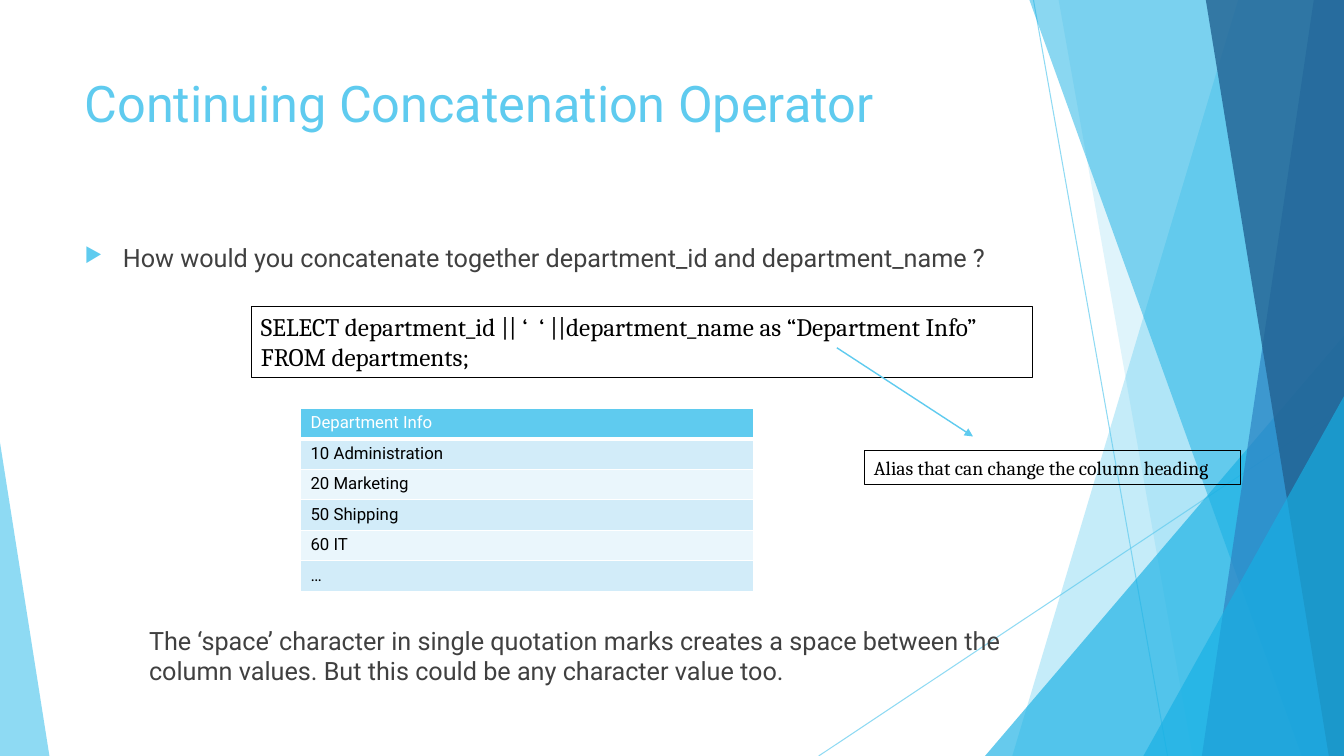
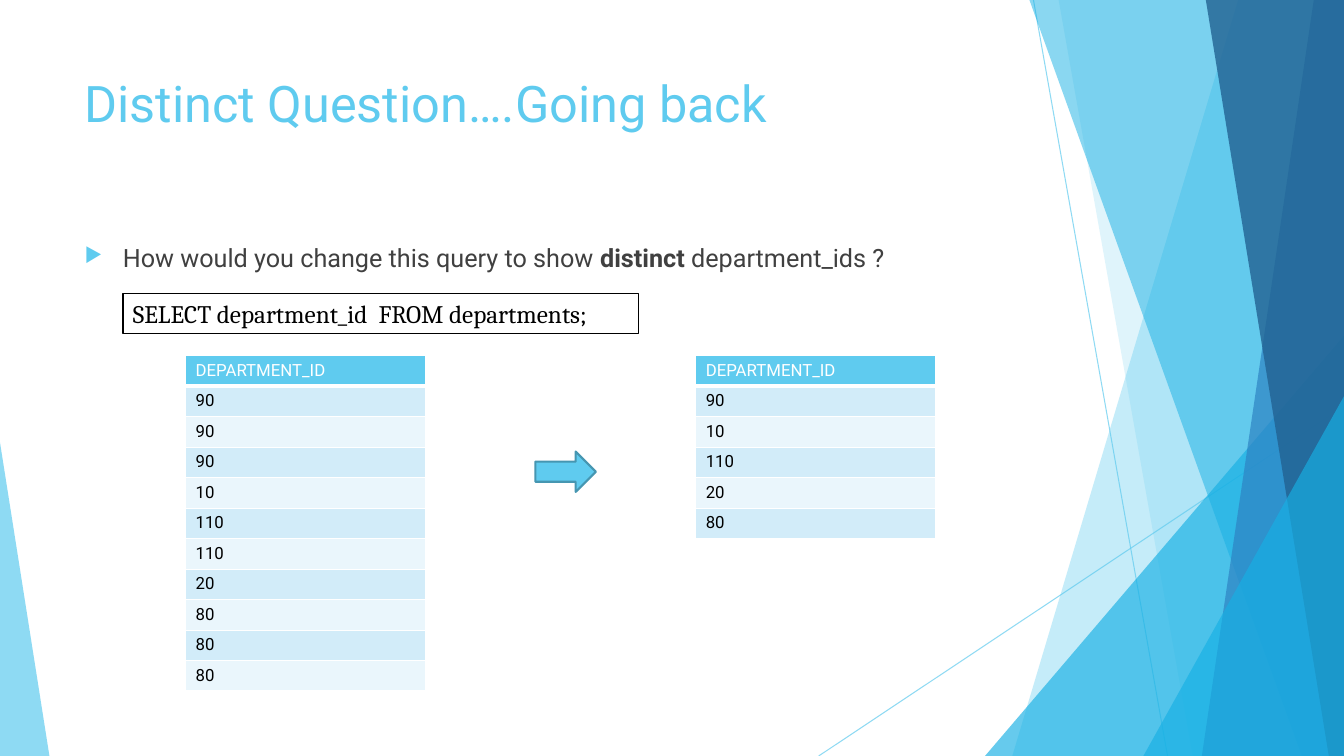
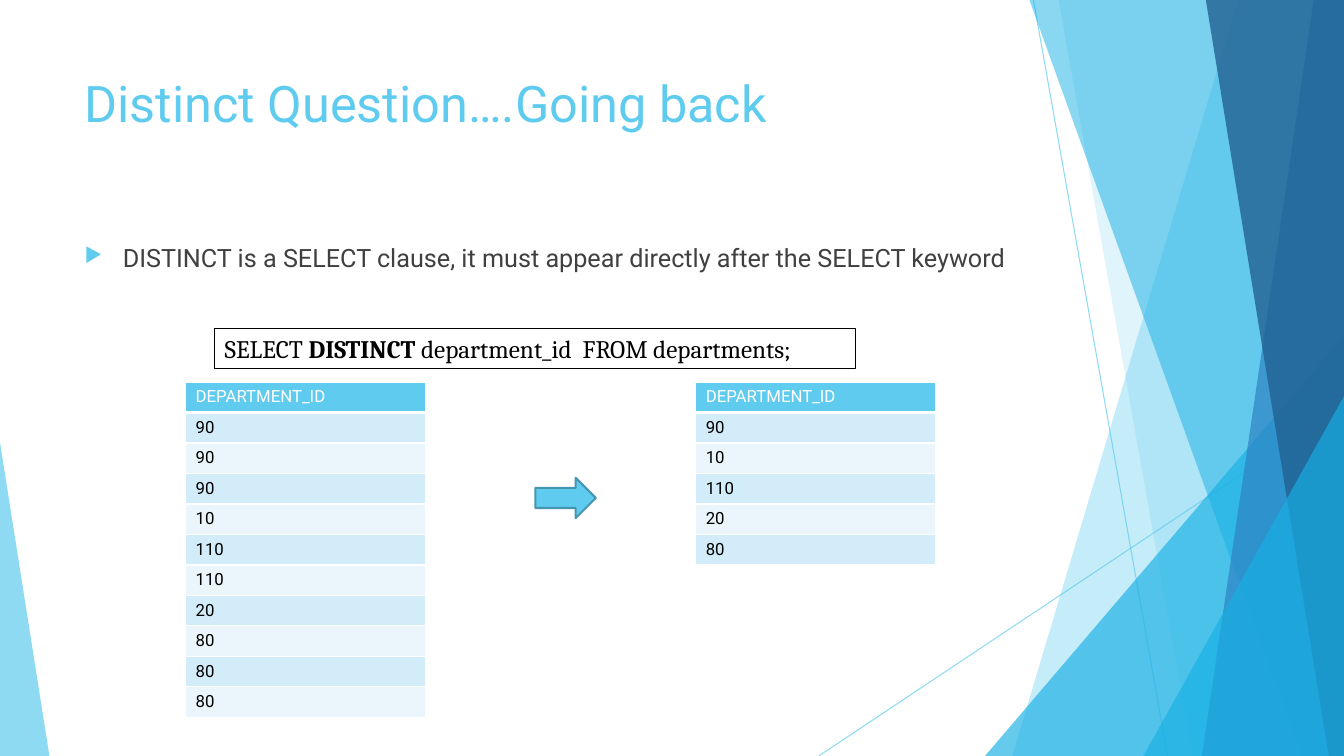
from dataclasses import dataclass

from lxml import etree
from pptx import Presentation
from pptx.dml.color import RGBColor
from pptx.enum.shapes import MSO_CONNECTOR, MSO_SHAPE
from pptx.oxml.ns import qn
from pptx.util import Inches, Pt

STRAIGHT = MSO_CONNECTOR.STRAIGHT
TRIANGLE = MSO_SHAPE.ISOSCELES_TRIANGLE
RIGHT_ARROW = MSO_SHAPE.RIGHT_ARROW

SLIDE_W, SLIDE_H = 13.33, 7.5
TEXT_LEFT, TEXT_W = 0.74, 9.4
ROW_H = Inches(3.33) // 11


@dataclass(frozen=True)
class Theme:
    sky: str = "5FCBEF"
    cyan: str = "17B0E4"
    blue: str = "2E83C3"
    navy: str = "226292"
    arrow_edge: str = "4696B1"
    band_dark: str = "D2ECF9"
    band_light: str = "EAF6FC"
    body: str = "404040"
    black: str = "000000"
    white: str = "FFFFFF"
    sans: str = "Roboto"
    serif: str = "Cambria"
    title_size: int = 36
    body_size: int = 18
    note_size: int = 14
    table_size: int = 12


T = Theme()


def rgb(color):
    return RGBColor.from_string(color)


def add_element(parent, tag, **attrs):
    child = etree.SubElement(parent, qn(tag))
    for name, value in attrs.items():
        child.set(name, str(value))
    return child


def set_alpha(owner, percent):
    """Make the solid colour inside an XML element partly transparent."""
    color = next(owner.iter(qn("a:srgbClr")))
    add_element(color, "a:alpha", val=percent * 1000)


def paint_glass(shape, color, opacity):
    shape.shadow.inherit = False
    shape.fill.solid()
    shape.fill.fore_color.rgb = rgb(color)
    shape.line.fill.background()
    set_alpha(shape.fill._xPr.find(qn("a:solidFill")), opacity)


def add_line(s, start, end, width):
    line = s.shapes.add_connector(STRAIGHT, *map(Inches, start + end))
    line.line.color.rgb = rgb(T.sky)
    line.line.width = Pt(width)
    add_element(line._element.spPr, "a:effectLst")
    return line


def add_facet(s, top_x, bottom_x, color, opacity):
    """Fill from a slanted left edge to the right side of the slide."""
    corners = [(SLIDE_W, 0), (SLIDE_W, SLIDE_H), (bottom_x, SLIDE_H)]
    builder = s.shapes.build_freeform(Inches(top_x), 0, scale=1.0)
    builder.add_line_segments([(Inches(x), Inches(y)) for x, y in corners])
    paint_glass(builder.convert_to_shape(), color, opacity)


def add_corner(s, left, top, width, apex, color, opacity):
    """Add a triangle that stands on the bottom edge of the slide."""
    box = map(Inches, (left, top, width, SLIDE_H - top))
    shape = s.shapes.add_shape(TRIANGLE, *box)
    shape.adjustments[0] = apex
    paint_glass(shape, color, opacity)


def add_backdrop(s):
    for start, end in (((10.25, 0), (11.58, SLIDE_H)),
                       ((SLIDE_W, 4.03), (8.12, SLIDE_H))):
        line = add_line(s, start, end, 0.75)
        set_alpha(line._element.spPr, 70)
    add_facet(s, 12.28, 10.04, T.sky, 36)
    add_facet(s, 10.5, 11.83, T.sky, 20)
    add_corner(s, 9.77, 3.33, 3.56, 1, T.cyan, 66)
    add_facet(s, 10.21, 12.91, T.cyan, 50)
    add_facet(s, 13.03, 11.92, T.blue, 70)
    add_facet(s, 11.96, 13.18, T.navy, 80)
    add_corner(s, 11.34, 3.93, 1.99, 1, T.cyan, 66)
    add_corner(s, 0, 4.39, 0.49, 0, T.sky, 70)


def style_font(font, name, size, color, bold=False):
    font.name = name
    font.size = Pt(size)
    font.bold = bold
    font.color.rgb = rgb(color)


def add_text(s, box, text, name, size, color):
    """Add a text box; newlines split paragraphs and ** encloses bold words."""
    shape = s.shapes.add_textbox(*map(Inches, box))
    tf = shape.text_frame
    tf.word_wrap = True
    for i, row in enumerate(text.split("\n")):
        p = tf.add_paragraph() if i else tf.paragraphs[0]
        for j, part in enumerate(row.split("**")):
            r = p.add_run()
            r.text = part
            style_font(r.font, name, size, color, bold=j % 2 == 1)
    return shape


def add_body(s, box, text):
    return add_text(s, box, text, T.sans, T.body_size, T.body)


def add_bullet(s, text):
    shape = add_body(s, (TEXT_LEFT, 2.36, TEXT_W, 0.93), text)
    pPr = shape.text_frame.paragraphs[0]._p.get_or_add_pPr()
    indent = Inches(0.38)
    pPr.set("marL", str(indent))
    pPr.set("indent", str(-indent))
    add_element(add_element(pPr, "a:buClr"), "a:srgbClr", val=T.sky)
    add_element(pPr, "a:buSzPct", val=80000)
    add_element(pPr, "a:buChar", char="▶")


def add_code_box(s, box, text, size=T.body_size):
    shape = add_text(s, box, text, T.serif, size, T.black)
    shape.line.color.rgb = rgb(T.black)
    shape.line.width = Pt(0.75)


def set_cell_borders(cell, bottom):
    tcPr = cell._tc.get_or_add_tcPr()
    widths = {"a:lnL": 1, "a:lnR": 1, "a:lnT": 1, "a:lnB": bottom}
    for i, (tag, width) in enumerate(widths.items()):
        ln = etree.Element(qn(tag), w=str(Pt(width)))
        add_element(add_element(ln, "a:solidFill"), "a:srgbClr", val=T.white)
        tcPr.insert(i, ln)


def add_column_table(s, left, top, width, values):
    """Add a one-column table whose first value is the heading."""
    frame = s.shapes.add_table(len(values), 1, Inches(left), Inches(top),
                               Inches(width), ROW_H * len(values))
    for i, value in enumerate(values):
        cell = frame.table.cell(i, 0)
        header = i == 0
        band = T.band_dark if i % 2 else T.band_light
        cell.fill.solid()
        cell.fill.fore_color.rgb = rgb(T.sky if header else band)
        set_cell_borders(cell, bottom=3 if header else 1)
        cell.text_frame.text = value
        style_font(cell.text_frame.paragraphs[0].runs[0].font, T.sans,
                   T.table_size, T.white if header else T.black)


def add_distinct_tables(s, top):
    """Show all department ids, an arrow, and the ids without repeats."""
    ids = ["90", "90", "90", "10", "110", "110", "20", "80", "80", "80"]
    unique_ids = list(dict.fromkeys(ids))
    for left, values in ((1.84, ids), (6.9, unique_ids)):
        add_column_table(s, left, top, 2.38, ["DEPARTMENT_ID"] + values)
    box = map(Inches, (5.31, top + 0.95, 0.6, 0.4))
    arrow = s.shapes.add_shape(RIGHT_ARROW, *box)
    arrow.shadow.inherit = False
    arrow.fill.solid()
    arrow.fill.fore_color.rgb = rgb(T.sky)
    arrow.line.color.rgb = rgb(T.arrow_edge)
    arrow.line.width = Pt(1.5)


def add_slide(prs, title, bullet):
    s = prs.slides.add_slide(prs.slide_layouts[6])
    add_backdrop(s)
    add_text(s, (TEXT_LEFT, 0.67, TEXT_W, 1.44), title,
             T.sans, T.title_size, T.sky)
    add_bullet(s, bullet)
    return s


def add_concatenation_slide(prs):
    s = add_slide(prs, "Continuing Concatenation Operator",
                  "How would you concatenate together department_id and "
                  "department_name ?")
    add_code_box(s, (2.49, 3.04, 7.75, 0.71),
                 "SELECT department_id || ‘  ‘ ||department_name as "
                 "“Department Info”\nFROM departments;")
    add_column_table(s, 2.98, 4.05, 4.49,
                     ["Department Info", "10 Administration", "20 Marketing",
                      "50 Shipping", "60 IT", "…"])
    add_body(s, (1.38, 6.15, TEXT_W, 0.93),
             "The ‘space’ character in single quotation marks creates a space "
             "between the column values. But this could be any character "
             "value too.")
    pointer = add_line(s, (8.3, 3.45), (9.65, 4.33), 1)
    add_element(pointer.line._get_or_add_ln(), "a:tailEnd", type="triangle")
    add_code_box(s, (8.57, 4.47, 3.73, 0.34),
                 "Alias that can change the column heading", T.note_size)


def add_distinct_slide(prs, bullet, query, query_box, tables_top):
    s = add_slide(prs, "Distinct Question….Going back", bullet)
    add_code_box(s, query_box, query)
    add_distinct_tables(s, tables_top)


def main():
    prs = Presentation()
    prs.slide_width, prs.slide_height = Inches(SLIDE_W), Inches(SLIDE_H)
    add_concatenation_slide(prs)
    add_distinct_slide(
        prs,
        "How would you change this query to show **distinct **department_ids ?",
        "SELECT department_id  FROM departments;",
        (1.22, 2.91, 5.11, 0.4), 3.53)
    add_distinct_slide(
        prs,
        "DISTINCT is a SELECT clause, it must appear directly after the "
        "SELECT keyword",
        "SELECT **DISTINCT **department_id  FROM departments;",
        (2.13, 3.26, 6.36, 0.4), 3.79)
    prs.save("out.pptx")


if __name__ == "__main__":
    main()
